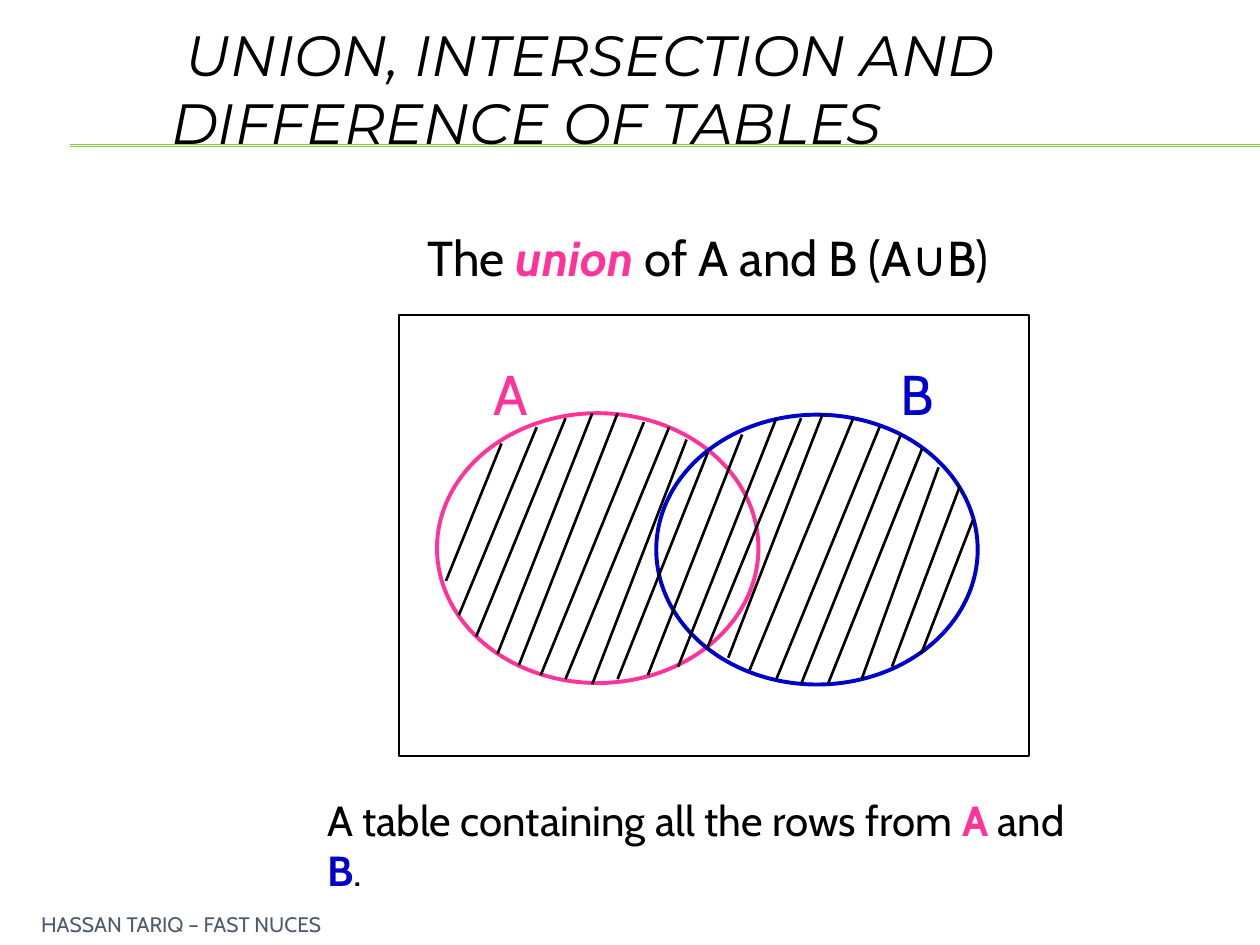
"""Build a slide that explains the union of two tables with a hatched Venn diagram."""
from dataclasses import dataclass

from lxml import etree
from pptx import Presentation
from pptx.dml.color import RGBColor
from pptx.enum.shapes import MSO_CONNECTOR, MSO_SHAPE
from pptx.enum.text import MSO_ANCHOR, MSO_AUTO_SIZE, PP_ALIGN
from pptx.oxml.ns import qn
from pptx.util import Cm, Pt

BLACK = RGBColor(0x00, 0x00, 0x00)
PINK = RGBColor(0xFF, 0x33, 0x99)
BLUE = RGBColor(0x00, 0x00, 0xCC)
GREEN = RGBColor(0x7F, 0xD1, 0x3B)
SLATE = RGBColor(0x4E, 0x5B, 0x6F)
LEFT, CENTER = PP_ALIGN.LEFT, PP_ALIGN.CENTER
TOP, MIDDLE, BOTTOM = MSO_ANCHOR.TOP, MSO_ANCHOR.MIDDLE, MSO_ANCHOR.BOTTOM
RECTANGLE, OVAL = MSO_SHAPE.RECTANGLE, MSO_SHAPE.OVAL
STRAIGHT = MSO_CONNECTOR.STRAIGHT
NO_FIT, GROW = MSO_AUTO_SIZE.NONE, MSO_AUTO_SIZE.SHAPE_TO_FIT_TEXT
BODY_FONT, TITLE_FONT = "Cabin", "Montserrat"
TITLE_ONLY = 5


@dataclass(frozen=True)
class Area:
    left: float
    top: float
    width: float
    height: float

    def lengths(self) -> tuple:
        return Cm(self.left), Cm(self.top), Cm(self.width), Cm(self.height)


@dataclass(frozen=True)
class Span:
    text: str
    color: RGBColor = BLACK
    bold: bool = False
    italic: bool = False


@dataclass(frozen=True)
class Segment:
    start_x: float
    start_y: float
    end_x: float
    end_y: float


@dataclass(frozen=True)
class TableSet:
    name: str
    color: RGBColor
    ellipse: Area
    label: Area


FRAME = Area(8.05, 6.35, 12.7, 8.89)
SETS = (
    TableSet("A", PINK, Area(8.81, 8.33, 6.48, 5.44), Area(9.68, 7.21, 1.22, 1.8)),
    TableSet("B", BLUE, Area(13.23, 8.36, 6.48, 5.44), Area(17.88, 7.21, 1.22, 1.8)),
)
RULES = tuple(Segment(1.42, height, 25.4, height) for height in (2.92, 2.95))
HATCHES = (
    Segment(10.11, 8.94, 8.99, 11.71),
    Segment(10.82, 8.61, 9.25, 12.4),
    Segment(11.4, 8.43, 9.6, 12.83),
    Segment(11.94, 8.33, 10.03, 13.18),
    Segment(12.45, 8.33, 10.46, 13.41),
    Segment(12.98, 8.51, 10.9, 13.61),
    Segment(13.49, 8.61, 11.4, 13.69),
    Segment(13.84, 8.86, 11.94, 13.79),
    Segment(14.27, 9.12, 12.45, 13.69),
    Segment(14.96, 8.76, 13.06, 13.61),
    Segment(15.65, 8.43, 13.67, 13.44),
    Segment(16.15, 8.43, 14.25, 13.08),
    Segment(16.59, 8.33, 14.68, 13.26),
    Segment(17.2, 8.43, 15.11, 13.51),
    Segment(17.73, 8.61, 15.65, 13.69),
    Segment(18.16, 8.76, 16.15, 13.79),
    Segment(18.59, 9.04, 16.69, 13.79),
    Segment(18.92, 9.42, 17.37, 13.69),
    Segment(19.35, 9.8, 17.98, 13.44),
    Segment(19.61, 10.49, 18.57, 13.18),
)


def write(box, *spans: Span, size: float, font: str = BODY_FONT, align=LEFT,
          anchor=TOP, fit=NO_FIT, inset_x: float = 0.25, inset_y: float = 0.13) -> None:
    frame = box.text_frame
    frame.word_wrap = True
    frame.auto_size = fit
    frame.vertical_anchor = anchor
    frame.margin_left = frame.margin_right = Cm(inset_x)
    frame.margin_top = frame.margin_bottom = Cm(inset_y)
    para = frame.paragraphs[0]
    para.alignment = align
    para.space_before = Pt(0)
    for span in spans:
        run = para.add_run()
        run.text = span.text
        run.font.name = font
        run.font.size = Pt(size)
        run.font.bold = span.bold
        run.font.italic = span.italic
        run.font.color.rgb = span.color


def add_text(page, area: Area, *spans: Span, **text_format) -> None:
    write(page.shapes.add_textbox(*area.lengths()), *spans, **text_format)


def add_outline(page, kind, area: Area, color: RGBColor, weight: float) -> None:
    shape = page.shapes.add_shape(kind, *area.lengths())
    shape.shadow.inherit = False
    shape.fill.background()
    shape.line.color.rgb = color
    shape.line.width = Pt(weight)


def add_line(page, segment: Segment, color: RGBColor, weight: float):
    line = page.shapes.add_connector(
        STRAIGHT, Cm(segment.start_x), Cm(segment.start_y),
        Cm(segment.end_x), Cm(segment.end_y))
    line.line.color.rgb = color
    line.line.width = Pt(weight)
    etree.SubElement(line._element.spPr, qn("a:effectLst"))
    return line


def add_title(page) -> None:
    title = page.shapes.title
    title.left, title.top, title.width, title.height = Area(3.2, 0.1, 21.59, 3.18).lengths()
    write(title, Span(" UNION, INTERSECTION AND DIFFERENCE OF TABLES", italic=True),
          size=32.4, font=TITLE_FONT, anchor=BOTTOM)
    for rule in RULES:
        title._element.addprevious(add_line(page, rule, GREEN, 0.75)._element)


def add_venn(page) -> None:
    add_outline(page, RECTANGLE, FRAME, BLACK, 1)
    for table in SETS:
        add_outline(page, OVAL, table.ellipse, table.color, 2.25)
        add_text(page, table.label, Span(table.name, table.color),
                 size=32, align=CENTER, inset_x=0.03, inset_y=0.03)
    for hatch in HATCHES:
        add_line(page, hatch, BLACK, 1.5)


def main() -> None:
    deck = Presentation()
    deck.slide_width, deck.slide_height = Cm(25.4), Cm(19.05)
    page = deck.slides.add_slide(deck.slide_layouts[TITLE_ONLY])
    add_title(page)
    add_venn(page)
    add_text(page, Area(7.82, 4.45, 12.9, 1.45),
             Span("The "), Span("union", PINK, bold=True, italic=True),
             Span(" of A and B (A∪B)"), size=28, align=CENTER, fit=GROW)
    add_text(page, Area(6.35, 15.88, 16.08, 2.29),
             Span("A table containing all the rows from "), Span("A ", PINK, bold=True),
             Span("and "), Span("B", BLUE, bold=True), Span("."), size=24, fit=GROW)
    add_text(page, Area(0.58, 18.42, 16.99, 0.43),
             Span("HASSAN TARIQ – FAST NUCES", SLATE), size=12, anchor=MIDDLE)
    deck.save("out.pptx")


if __name__ == "__main__":
    main()
